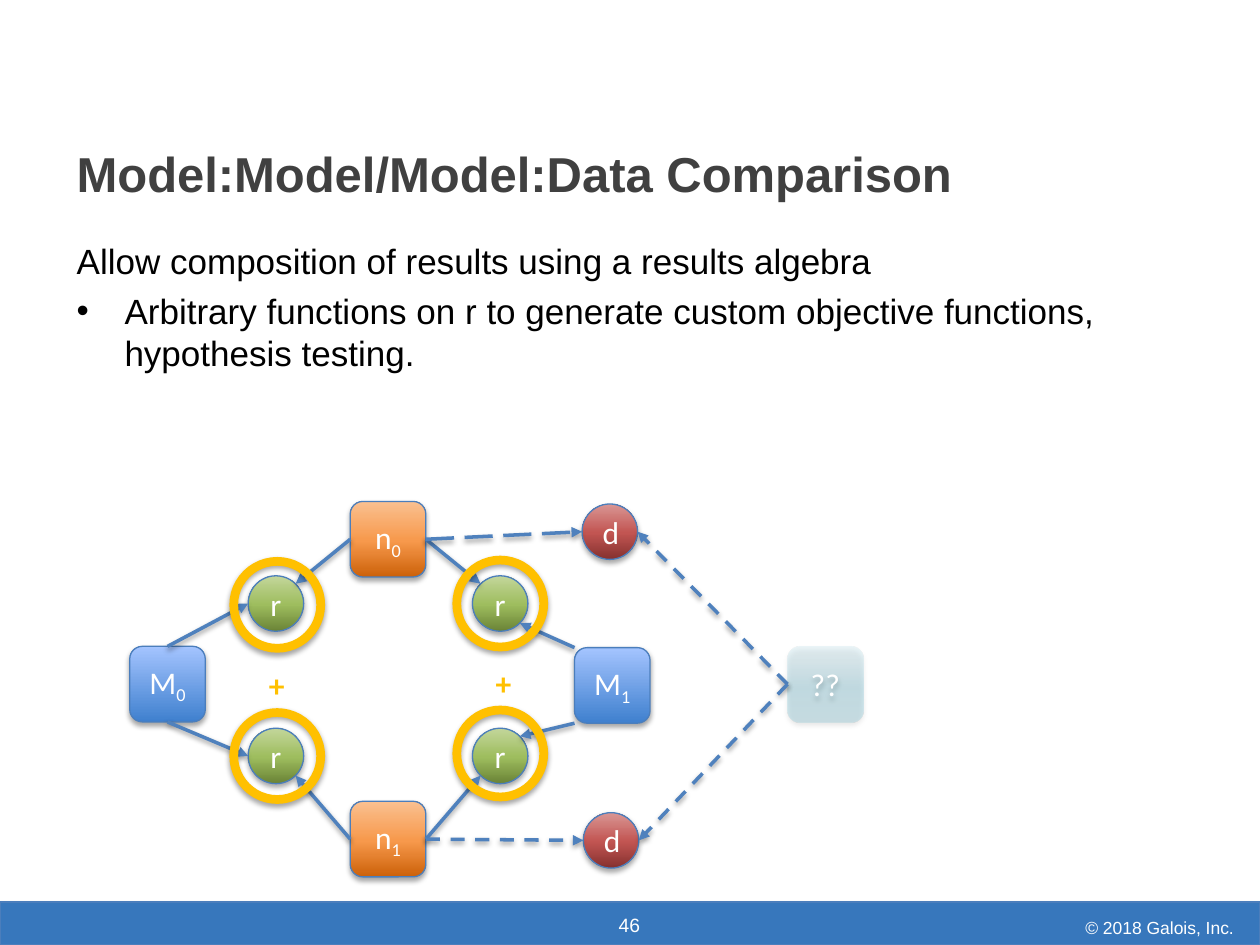
from pptx import Presentation
from pptx.dml.color import RGBColor
from pptx.enum.dml import MSO_LINE
from pptx.enum.shapes import MSO_CONNECTOR, MSO_SHAPE
from pptx.enum.text import MSO_ANCHOR, PP_ALIGN
from pptx.oxml import parse_xml
from pptx.oxml.ns import nsdecls, qn
from pptx.util import Inches, Pt

COLUMNS, ROWS = 100, 75
CELL = Inches(10) / COLUMNS

WHITE = RGBColor(0xFF, 0xFF, 0xFF)
BLACK = RGBColor(0x00, 0x00, 0x00)
CHARCOAL = RGBColor(0x40, 0x40, 0x40)
BAR = RGBColor(0x37, 0x77, 0xBC)
OUTLINE = RGBColor(0x4B, 0x7E, 0xBC)
ARROW = RGBColor(0x4F, 0x81, 0xBD)
GOLD = RGBColor(0xFF, 0xC0, 0x00)

BLUE = [(0, RGBColor(0x3F, 0x80, 0xCE), 100), (100, RGBColor(0xA4, 0xC4, 0xFF), 100)]
TEAL = [(0, RGBColor(0x74, 0xBF, 0xD3), 28), (48, RGBColor(0x50, 0xAE, 0xC8), 26),
        (100, RGBColor(0x93, 0xCD, 0xDD), 18)]
ORANGE = [(0, RGBColor(0xCC, 0x61, 0x09), 100), (48, RGBColor(0xF7, 0x99, 0x4C), 100),
          (100, RGBColor(0xFA, 0xC0, 0x90), 100)]
GREEN = [(0, RGBColor(0x6A, 0x83, 0x36), 100), (48, RGBColor(0x9E, 0xBD, 0x5E), 100),
         (100, RGBColor(0xC3, 0xD6, 0x9B), 100)]
RED = [(0, RGBColor(0x85, 0x31, 0x2F), 100), (48, RGBColor(0xC2, 0x55, 0x52), 100),
       (100, RGBColor(0xD9, 0x96, 0x94), 100)]

SQUARE, DISC, RING = 6, 4.4, 6.9

NODES = {
    "M0": (3.3, 14.8, BLUE), "M1": (38.6, 14.9, BLUE), "??": (55.5, 14.8, TEAL),
    "n0": (20.8, 3.3, ORANGE), "n1": (20.8, 27.1, ORANGE),
    "r left top": (11.9, 8.4, GREEN), "r right top": (29.7, 8.4, GREEN),
    "r left low": (11.9, 20.5, GREEN), "r right low": (29.7, 20.5, GREEN),
    "d top": (38.4, 2.7, RED), "d low": (38.5, 27.2, RED),
}

LINKS = [
    ("M0", (0, -1), "r left top", (-1, 0), None),
    ("M0", (0, 1), "r left low", (-1, 0), None),
    ("M1", (-1, -1), "r right top", (1, 1), None),
    ("M1", (-1, 1), "r right low", (1, -1), None),
    ("n0", (-1, 0), "r left top", (1, -1), None),
    ("n0", (1, 0), "r right top", (-1, -1), None),
    ("n1", (1, 0), "r right low", (-1, 1), None),
    ("n1", (-1, 0), "r left low", (1, 1), None),
    ("n0", (1, 0), "d top", (-1, 0), MSO_LINE.LONG_DASH),
    ("n1", (1, 0), "d low", (-1, 0), MSO_LINE.DASH),
    ("??", (-1, 0), "d top", (1, 0), MSO_LINE.DASH),
    ("??", (-1, 0), "d low", (1, 0), MSO_LINE.DASH),
]

RINGS = [(12, 8.5), (12, 20.5), (29.7, 8.4), (29.7, 20.3)]
PLUSES = [(12, 14.9), (30, 14.7)]


def grid(*lengths):
    return [round(n * CELL) for n in lengths]


def add_shadow(sp, opacity=35, dist=1.8):
    effects = parse_xml(
        f'<a:effectLst {nsdecls("a")}><a:outerShdw blurRad="{Pt(3.1)}" dist="{Pt(dist)}" '
        f'dir="5400000" rotWithShape="0"><a:srgbClr val="000000">'
        f'<a:alpha val="{opacity * 1000}"/></a:srgbClr></a:outerShdw></a:effectLst>')
    spPr = sp._element.spPr
    for old in spPr.findall(qn("a:effectLst")):
        spPr.remove(old)
    spPr.append(effects)


def fill_gradient(sp, stops):
    sp.fill.gradient()
    gs = "".join(
        f'<a:gs pos="{pos * 1000}"><a:srgbClr val="{color}">'
        f'<a:alpha val="{opacity * 1000}"/></a:srgbClr></a:gs>'
        for pos, color, opacity in stops)
    spPr = sp._element.spPr
    spPr.replace(spPr.find(qn("a:gradFill")), parse_xml(
        f'<a:gradFill {nsdecls("a")} rotWithShape="1"><a:gsLst>{gs}</a:gsLst>'
        f'<a:lin ang="16200000" scaled="0"/></a:gradFill>'))


def format_font(font, name, size, color, bold=False):
    font.name, font.size, font.bold = name, Pt(size), bold
    font.color.rgb = color


def add_text(slide, box, lines, font, align=PP_ALIGN.LEFT, anchor=MSO_ANCHOR.TOP, wrap=True):
    tf = slide.shapes.add_textbox(*grid(*box)).text_frame
    tf.word_wrap = wrap
    tf.vertical_anchor = anchor
    tf.text = "\n".join(lines)
    for p in tf.paragraphs:
        p.alignment = align
        for r in p.runs:
            format_font(r.font, *font)
    return tf


def add_shape(slide, kind, box, line=None, width=0.75):
    sp = slide.shapes.add_shape(kind, *grid(*box))
    if line is None:
        sp.line.fill.background()
    else:
        sp.line.color.rgb = line
        sp.line.width = Pt(width)
    add_shadow(sp)
    return sp


def footer(slide, box):
    x, y, w, h = box
    bar = add_shape(slide, MSO_SHAPE.RECTANGLE, box, OUTLINE)
    bar.fill.solid()
    bar.fill.fore_color.rgb = BAR
    add_text(slide, (x + w - 27.9, y + 0.7, 26.8, 2.7), ["© 2018 Galois, Inc."],
             ("Arial", 10, WHITE), PP_ALIGN.RIGHT)
    add_text(slide, (x + w / 2 - 3.5, y + 0.4, 6.9, 2.9), ["46"],
             ("Arial", 11, WHITE), PP_ALIGN.CENTER)


def heading(slide, box):
    add_text(slide, box, ["Model:Model/Model:Data Comparison"],
             ("Arial", 28, CHARCOAL, True), anchor=MSO_ANCHOR.MIDDLE)


def body(slide, box):
    tf = add_text(slide, box, [
        "Allow composition of results using a results algebra",
        "Arbitrary functions on r to generate custom objective functions, hypothesis testing.",
    ], ("Arial", 20, BLACK))
    p = tf.paragraphs[1]
    p.space_before = Pt(4.6)
    pPr = p._p.get_or_add_pPr()
    indent = Inches(0.38)
    pPr.set("marL", str(indent))
    pPr.set("indent", str(-indent))
    pPr.append(parse_xml(f'<a:buFont {nsdecls("a")} typeface="Arial"/>'))
    pPr.append(parse_xml(f'<a:buChar {nsdecls("a")} char="•"/>'))


def centred(origin, centre, w, h):
    return origin[0] + centre[0] - w / 2, origin[1] + centre[1] - h / 2, w, h


def is_disc(name):
    return name[0] in "rd"


def add_node(slide, origin, name):
    *centre, stops = NODES[name]
    size = DISC if is_disc(name) else SQUARE
    kind = MSO_SHAPE.OVAL if is_disc(name) else MSO_SHAPE.ROUNDED_RECTANGLE
    sp = add_shape(slide, kind, centred(origin, centre, size, size),
                   None if stops is TEAL else OUTLINE)
    fill_gradient(sp, stops)
    tf = sp.text_frame
    tf.vertical_anchor = MSO_ANCHOR.MIDDLE
    p = tf.paragraphs[0]
    p.alignment = PP_ALIGN.CENTER
    for text in [name[0]] if is_disc(name) else name:
        r = p.add_run()
        r.text = text
        format_font(r.font, "Calibri", 18, WHITE)
        if text.isdigit():
            r._r.get_or_add_rPr().set("baseline", "-25000")


def edge_point(origin, name, side):
    x, y, _ = NODES[name]
    reach = (DISC if is_disc(name) else SQUARE) / 2
    if is_disc(name) and all(side):
        reach *= 0.71
    return grid(origin[0] + x + side[0] * reach, origin[1] + y + side[1] * reach)


def add_link(slide, origin, start, start_side, end, end_side, dash):
    c = slide.shapes.add_connector(MSO_CONNECTOR.STRAIGHT,
                                   *edge_point(origin, start, start_side),
                                   *edge_point(origin, end, end_side))
    c.line.color.rgb = ARROW
    c.line.width = Pt(2)
    if dash is not None:
        c.line.dash_style = dash
    c.line._get_or_add_ln().append(parse_xml(f'<a:tailEnd {nsdecls("a")} type="triangle"/>'))
    add_shadow(c, 38, 1.6)


def diagram(slide, box):
    origin = box[:2]
    for name in NODES:
        add_node(slide, origin, name)
    for link in LINKS:
        add_link(slide, origin, *link)
    for centre in RINGS:
        ring = add_shape(slide, MSO_SHAPE.OVAL, centred(origin, centre, RING, RING), GOLD, 5)
        ring.fill.background()
    for centre in PLUSES:
        add_text(slide, centred(origin, centre, 3.3, 4), ["+"],
                 ("Calibri", 18, GOLD, True), wrap=False)


def main():
    prs = Presentation()
    prs.slide_width, prs.slide_height = grid(COLUMNS, ROWS)
    slide = prs.slides.add_slide(prs.slide_layouts[6])
    footer(slide, (0, 71.6, COLUMNS, 3.4))
    heading(slide, (5.1, 11.5, 89.9, 4.4))
    body(slide, (5.1, 18.5, 89.9, 48.4))
    diagram(slide, (10, 39.5, 60, 30))
    prs.save("out.pptx")


if __name__ == "__main__":
    main()
